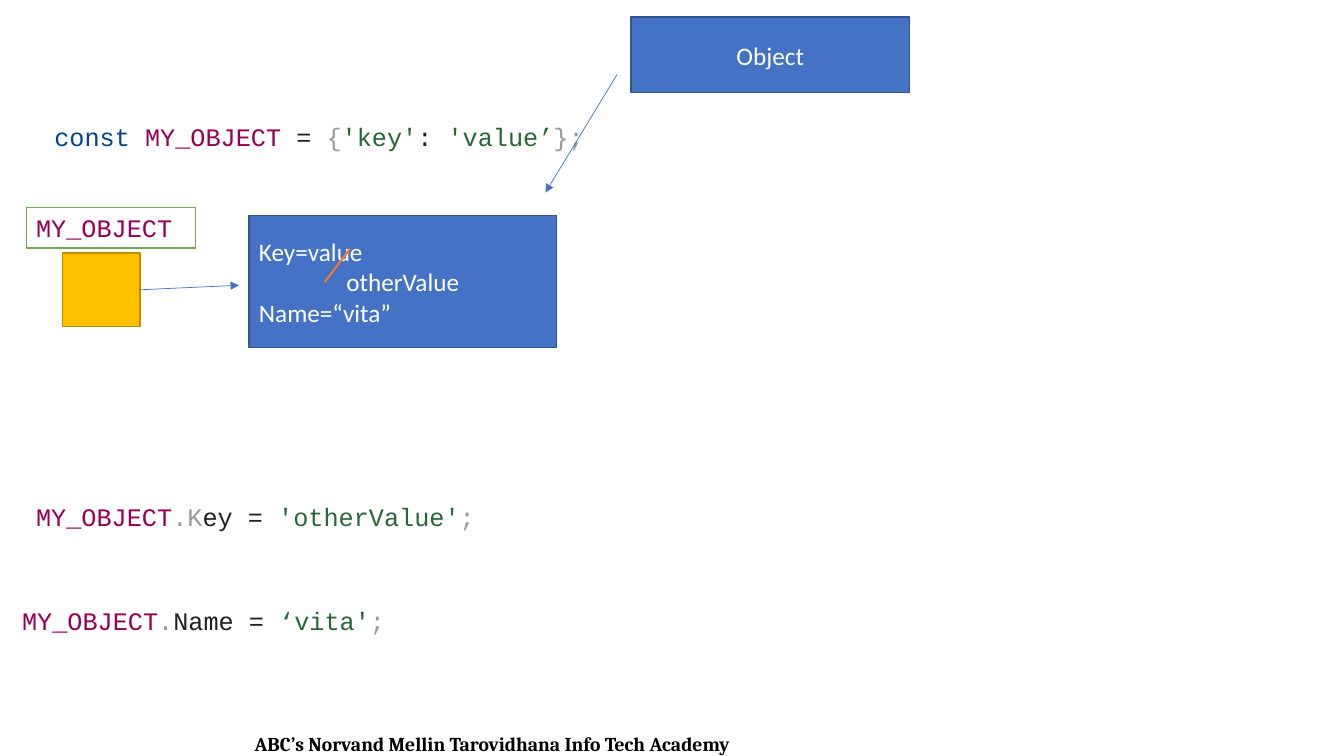
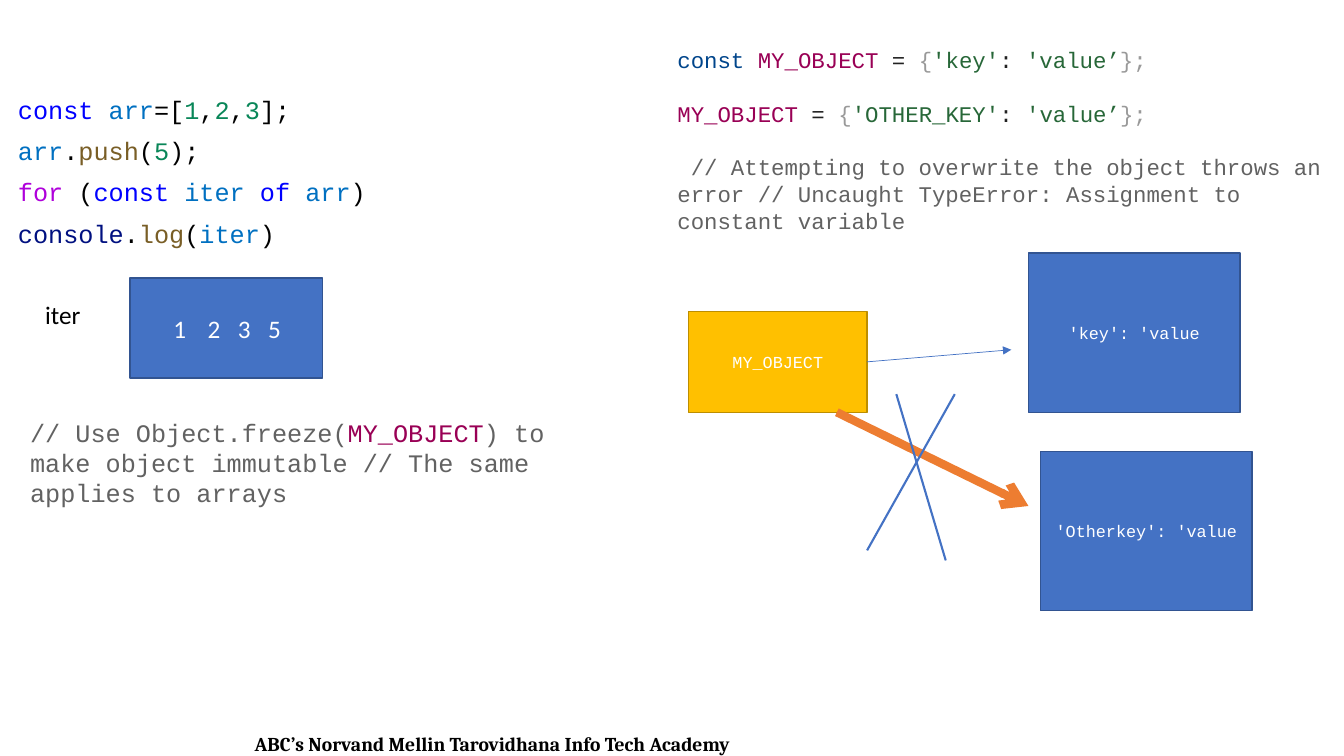
from lxml import etree
from pptx import Presentation
from pptx.dml.color import RGBColor
from pptx.enum.shapes import MSO_CONNECTOR, MSO_SHAPE
from pptx.enum.text import MSO_ANCHOR, PP_ALIGN
from pptx.oxml.ns import qn
from pptx.util import Inches, Pt

LEFT, CENTER = PP_ALIGN.LEFT, PP_ALIGN.CENTER
RECT, STRAIGHT = MSO_SHAPE.RECTANGLE, MSO_CONNECTOR.STRAIGHT
RIGHT_SIDE = 3
rgb = RGBColor.from_string

# Shared colours and fonts
WHITE, BLACK = "FFFFFF", "000000"
BLUE, BLUE_EDGE = "4472C4", "325491"
GOLD, GOLD_EDGE = "FFC000", "BD8E00"
ORANGE, GREEN = "ED7D31", "70AD47"
KEYWORD, NAME, PLAIN, MARK, STRING = "00458B", "990055", "212121", "999999", "276738"
COMMENT = "626262"
BLUE_WORD, VARIABLE, NUMBER = "0000FF", "0070C1", "098658"
METHOD, CONTROL, GLOBAL = "795E26", "AF00DB", "001080"
CODE, BODY, FOOTER = "Courier New", "Calibri", "Cambria"


def add_box(s, at, paragraphs, font=CODE, size=18, fill=None, edge=None,
            align=LEFT, gap=0, spacing=None):
    """Add a text box, or a rectangle when filled; paragraphs are lists of (text, colour)."""
    at = [Inches(v) for v in at]
    if fill:
        sp = s.shapes.add_shape(RECT, *at)
        sp.shadow.inherit = False
        sp.fill.solid()
        sp.fill.fore_color.rgb = rgb(fill)
        sp.line.color.rgb = rgb(edge)
        sp.line.width = Pt(1)
    else:
        sp = s.shapes.add_textbox(*at)
    tf = sp.text_frame
    tf.word_wrap = True
    tf.vertical_anchor = MSO_ANCHOR.MIDDLE if fill else MSO_ANCHOR.TOP
    for i, runs in enumerate(paragraphs):
        p = tf.paragraphs[0] if i == 0 else tf.add_paragraph()
        p.alignment = align
        p.space_before = Pt(gap if i else 0)
        if spacing:
            p.line_spacing = spacing
        p.font.name, p.font.size = font, Pt(size)
        for text, colour in runs:
            r = p.add_run()
            r.text = text
            r.font.color.rgb = rgb(colour)
    return sp


def add_line(s, start, end, colour=BLUE, width=0.5, head=None, source=None):
    """Add a straight line, with an optional arrowhead, from a point or a box's right side."""
    cn = s.shapes.add_connector(STRAIGHT, *[Inches(v) for v in (*start, *end)])
    if source is not None:
        cn.begin_connect(source, RIGHT_SIDE)
    cn.line.color.rgb = rgb(colour)
    cn.line.width = Pt(width)
    if head:
        etree.SubElement(cn.line._get_or_add_ln(), qn("a:tailEnd"), type=head)
    etree.SubElement(cn._element.spPr, qn("a:effectLst"))


prs = Presentation()
prs.slide_width, prs.slide_height = Inches(13.33), Inches(7.5)
blank = prs.slide_layouts[6]
slides = [prs.slides.add_slide(blank) for _ in range(2)]

# Footer on every slide
for s in slides:
    sp = add_box(s, (0.23, 7.21, 9.31, 0.34),
                 [[("ABC’s Norvand Mellin Tarovidhana Info Tech Academy", BLACK)]],
                 font=FOOTER, size=14, align=CENTER)
    sp.text_frame.paragraphs[0].font.bold = True

# Code line shown on both slides
declaration = [("const ", KEYWORD), ("MY_OBJECT", NAME), (" = ", PLAIN), ("{", MARK),
               ("'key'", STRING), (": ", PLAIN), ("'value’", STRING), ("};", MARK)]

# Slide 1: changing the contents of a constant object
s = slides[0]
add_box(s, (0.44, 1.15, 6.71, 0.4), [declaration])
reference = add_box(s, (0.62, 2.51, 0.77, 0.73), [], fill=GOLD, edge=GOLD_EDGE)
add_line(s, (1.39, 2.87), (2.37, 2.83), head="triangle", source=reference)
contents = add_box(s, (2.47, 2.14, 3.05, 1.31),
                   [[(text, WHITE)] for text in ("Key=value", "otherValue", "Name=“vita”")],
                   font=BODY, fill=BLUE, edge=BLUE_EDGE)
contents.text_frame.paragraphs[1].alignment = CENTER
add_box(s, (0.26, 2.06, 1.68, 0.4), [[("MY_OBJECT", NAME)]], fill=WHITE, edge=GREEN)
add_box(s, (0.26, 4.92, 6.71, 0.4),
        [[("MY_OBJECT", NAME), (".K", MARK), ("ey = ", PLAIN),
          ("'otherValue'", STRING), (";", MARK)]])
add_line(s, (3.22, 2.8), (3.47, 2.47), ORANGE, 1.5)
add_box(s, (0.12, 5.96, 6.71, 0.4),
        [[("MY_OBJECT", NAME), (".", MARK), ("Name = ", PLAIN),
          ("‘vita'", STRING), (";", MARK)]])
add_line(s, (6.12, 0.74), (5.41, 1.91), head="triangle")
add_box(s, (6.26, 0.17, 2.76, 0.75), [[("Object", WHITE)]],
        font=BODY, fill=BLUE, edge=BLUE_EDGE, align=CENTER)

# Slide 2, left: constant array
s = slides[1]
add_box(s, (0.08, 0.92, 4.87, 1.75), [
    [("const ", BLUE_WORD), ("arr", VARIABLE), ("=[", BLACK), ("1", NUMBER), (",", BLACK),
     ("2", NUMBER), (",", BLACK), ("3", NUMBER), ("];", BLACK)],
    [("arr", VARIABLE), (".", BLACK), ("push", METHOD), ("(", BLACK), ("5", NUMBER),
     (");", BLACK)],
    [("for", CONTROL), (" (", BLACK), ("const ", BLUE_WORD), ("iter ", VARIABLE),
     ("of ", BLUE_WORD), ("arr", VARIABLE), (")", BLACK)],
    [("console", GLOBAL), (".", BLACK), ("log", METHOD), ("(", BLACK),
     ("iter", VARIABLE), (")", BLACK)],
], gap=10, spacing=0.9)
add_box(s, (0.2, 4.09, 6.01, 1.01),
        [[("// Use Object.freeze(", COMMENT), ("MY_OBJECT", NAME),
          (") to make object immutable // The same applies to arrays", COMMENT)]])
add_box(s, (0.35, 2.92, 0.7, 0.4), [[("iter", BLACK)]], font=BODY)

# Array values, spaced by tab stops
values = add_box(s, (1.29, 2.76, 1.91, 0.99), [[("1\t2\t3\t5", WHITE)]],
                 font=BODY, fill=BLUE, edge=BLUE_EDGE)
values.text_frame.margin_left = Inches(0.43)
pPr = values.text_frame.paragraphs[0]._p.get_or_add_pPr()
tabs = etree.Element(qn("a:tabLst"))
for stop in (0.34, 0.64, 0.94):
    etree.SubElement(tabs, qn("a:tab"), pos=str(Inches(stop)), algn="l")
pPr.find(qn("a:defRPr")).addprevious(tabs)

# Slide 2, right: reassigning a constant object
reference = add_box(s, (6.83, 3.09, 1.77, 1), [[("MY_OBJECT", WHITE)]],
                    size=12, fill=GOLD, edge=GOLD_EDGE, align=CENTER)
add_line(s, (8.6, 3.59), (10.03, 3.47), head="triangle", source=reference)
add_line(s, (8.3, 4.09), (10.2, 5.02), ORANGE, 6, head="arrow")
for left, top, text in ((10.2, 2.51, "'key': 'value"), (10.32, 4.48, "'Otherkey': 'value")):
    add_box(s, (left, top, 2.1, 1.58), [[(text, WHITE)]],
            size=12, fill=BLUE, edge=BLUE_EDGE, align=CENTER)
add_box(s, (6.62, 0.41, 6.71, 1.99), [
    declaration,
    [("MY_OBJECT", NAME), (" = ", PLAIN), ("{", MARK), ("'OTHER_KEY'", STRING),
     (": ", PLAIN), ("'value’", STRING), ("};", MARK)],
    [(" // Attempting to overwrite the object throws an error "
      "// Uncaught TypeError: Assignment to constant variable", COMMENT)],
], size=16, gap=19)

# Cross over the forbidden arrow
for start, end in (((9.47, 3.91), (8.6, 5.46)), ((8.89, 3.91), (9.38, 5.56))):
    add_line(s, start, end, width=1.5)

prs.save("out.pptx")
